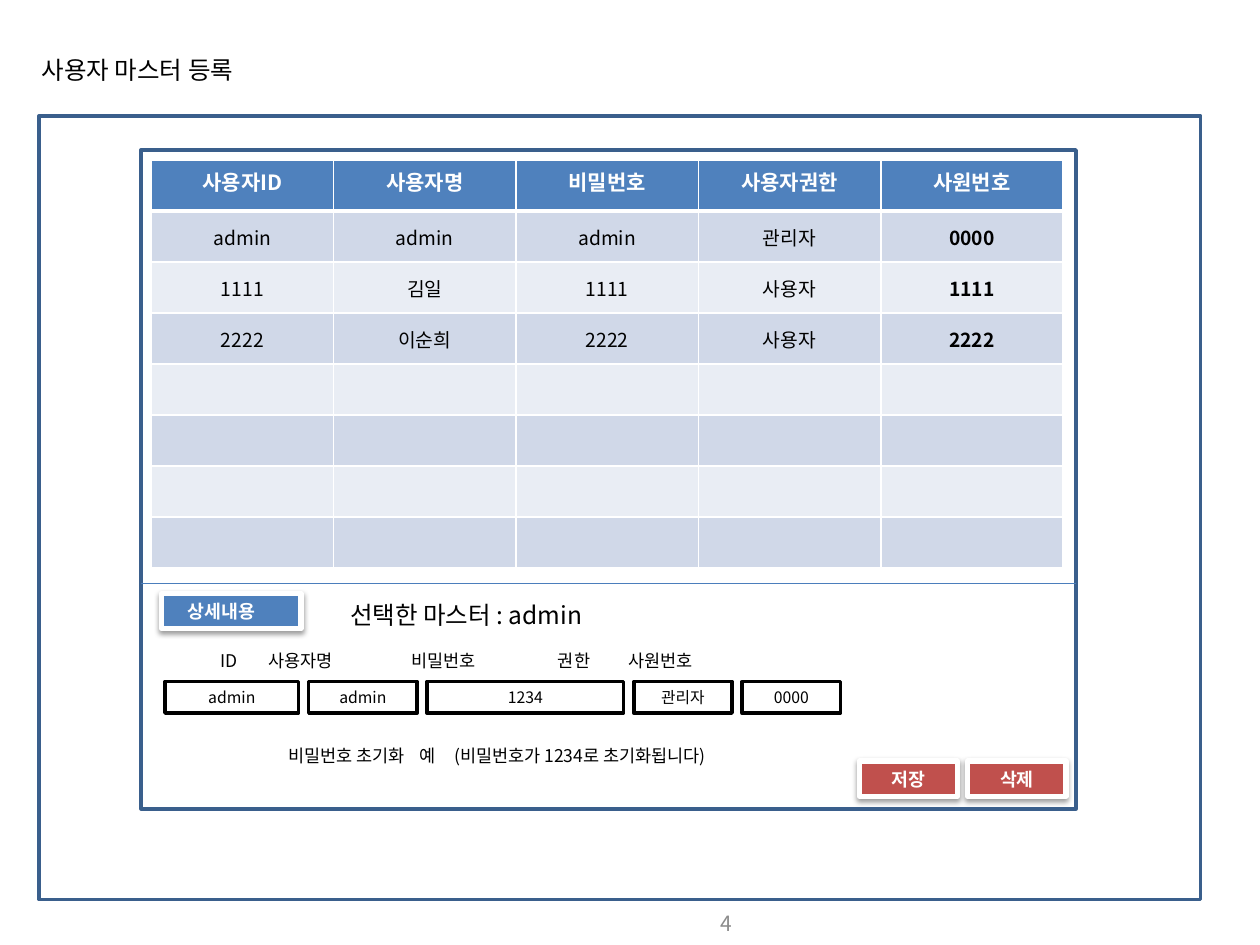
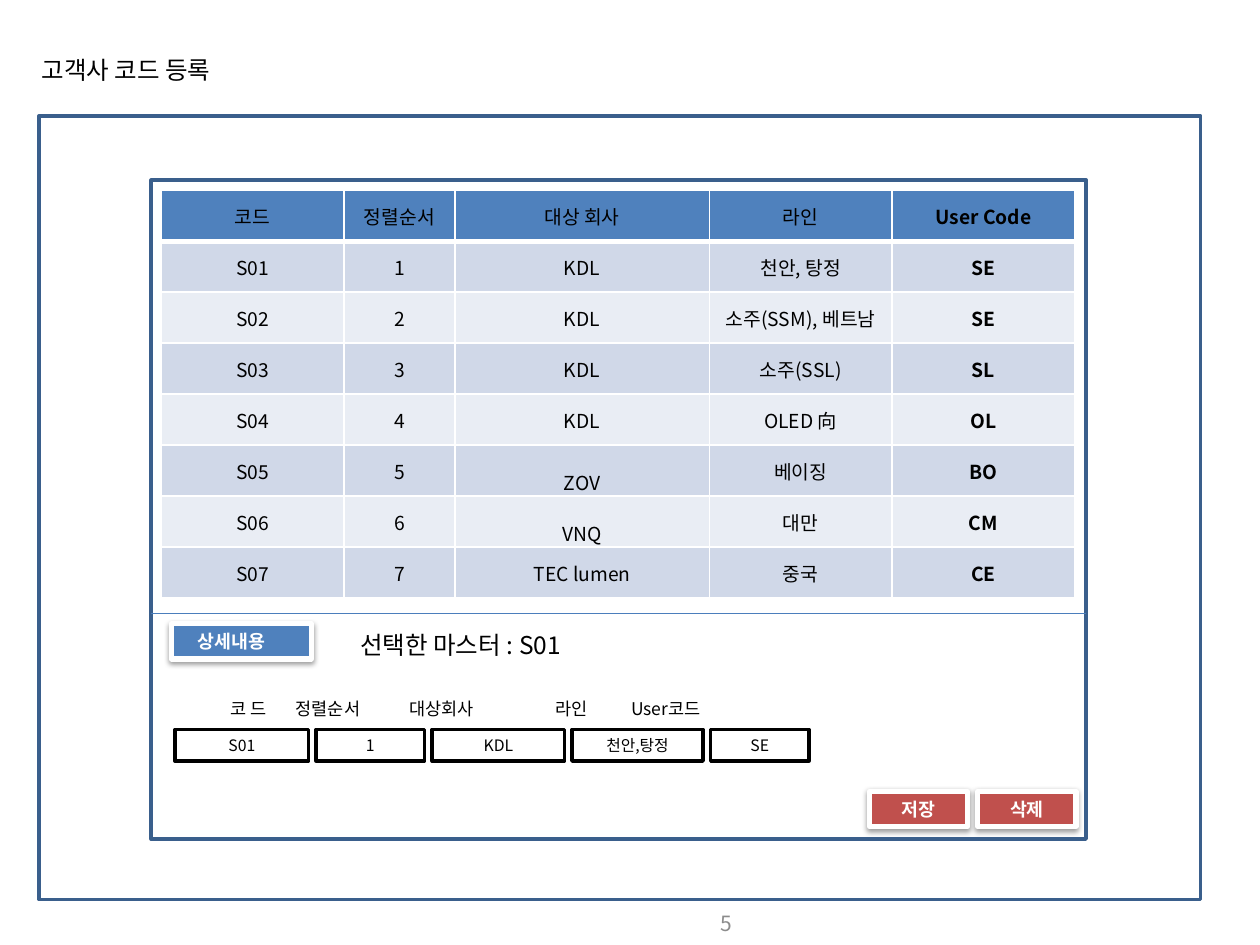
import pptx
import pptx.util
import pptx.dml.color
import pptx.enum.shapes
import pptx.enum.text
import pptx.oxml
import pptx.oxml.ns
from lxml import etree

Inches, Pt = pptx.util.Inches, pptx.util.Pt
RGB = pptx.dml.color.RGBColor
SHAPE = pptx.enum.shapes.MSO_SHAPE
ALIGN = pptx.enum.text.PP_ALIGN
ANCHOR = pptx.enum.text.MSO_ANCHOR
qn = pptx.oxml.ns.qn

FONT = "Noto Sans CJK KR"
COLORS = {
    "white": "FFFFFF", "black": "000000", "frame": "3A5F8C", "rule": "4B7EBC",
    "header": "4F81BD", "action": "C0504D", "page": "8C8C8C",
    "odd_row": "D0D8E8", "even_row": "E9EDF4",
}
TABLE_WIDTH, ROW_COUNT, TABLE_HEIGHT = 7.24, 8, 3.24
PANEL_WIDTH, PANEL_HEIGHT = 7.42, 5.23


def color(name):
    return RGB.from_string(COLORS[name])


class Screen:
    """One mock-up screen: the current slide and the shared style."""

    def __init__(self, deck, title, page):
        self.slide = deck.slides.add_slide(deck.slide_layouts[5])
        heading = self.slide.shapes.title
        self.place(heading, 0.23, 0.39, 4, 0.34)
        heading.text_frame.auto_size = pptx.enum.text.MSO_AUTO_SIZE.NONE
        self.set_words(heading.text_frame, title, 14)
        self.frame(0.31, 0.92, 9.22, 6.22)
        self.text(page, 3.58, 7.13, 2.33, 0.4, 12, "page",
                  align=ALIGN.RIGHT, anchor=ANCHOR.MIDDLE)

    def place(self, shape, left, top, width, height):
        shape.left, shape.top = Inches(left), Inches(top)
        shape.width, shape.height = Inches(width), Inches(height)

    def set_words(self, frame, words, size, ink="black", bold=False,
                  align=ALIGN.LEFT, anchor=ANCHOR.TOP):
        frame.vertical_anchor = anchor
        self.paragraph(frame.paragraphs[0], words, size, ink, bold, align)

    def paragraph(self, paragraph, words, size, ink, bold, align):
        paragraph.text = words
        paragraph.alignment = align
        for run in paragraph.runs:
            run.font.size, run.font.bold, run.font.name = Pt(size), bold, FONT
            run.font.color.rgb = color(ink)
            etree.SubElement(run.font._element, qn("a:ea"), typeface=FONT)
        if not words:
            etree.SubElement(paragraph._p, qn("a:endParaRPr"), sz=str(size * 100))

    def text(self, words, left, top, width, height, size, ink="black",
             align=ALIGN.LEFT, anchor=ANCHOR.TOP, tabs=()):
        box = self.slide.shapes.add_textbox(
            Inches(left), Inches(top), Inches(width), Inches(height))
        box.text_frame.word_wrap = True
        self.set_words(box.text_frame, words, size, ink, False, align, anchor)
        if tabs:
            properties = box.text_frame.paragraphs[0]._p.get_or_add_pPr()
            stops = etree.SubElement(properties, qn("a:tabLst"))
            for stop in tabs:
                etree.SubElement(stops, qn("a:tab"), pos=str(Inches(stop)), algn="l")

    def rectangle(self, left, top, width, height, line, line_width, fill=None):
        box = self.slide.shapes.add_shape(
            SHAPE.RECTANGLE, Inches(left), Inches(top), Inches(width), Inches(height))
        box.shadow.inherit = False
        box.line.color.rgb, box.line.width = color(line), Pt(line_width)
        if fill:
            box.fill.solid()
            box.fill.fore_color.rgb = color(fill)
        else:
            box.fill.background()
        return box

    def frame(self, left, top, width, height):
        self.rectangle(left, top, width, height, "frame", 2)

    def field(self, value, left, top, width):
        box = self.rectangle(left, top, width, 0.25, "black", 2, "white")
        self.set_words(box.text_frame, value, 9, align=ALIGN.CENTER,
                       anchor=ANCHOR.MIDDLE)

    def button(self, caption, left, top, width, fill, indent=None):
        """Draw a raised button; an indent makes its caption left-aligned."""
        box = self.rectangle(left, top, width, 0.28, "white", 3, fill)
        effects = box._element.spPr.find(qn("a:effectLst"))
        shadow = etree.SubElement(effects, qn("a:outerShdw"), blurRad=str(Pt(3.1)),
                                  dist=str(Pt(1.6)), dir="5400000", rotWithShape="0")
        tint = etree.SubElement(shadow, qn("a:srgbClr"), val=COLORS["black"])
        etree.SubElement(tint, qn("a:alpha"), val="38000")
        if indent:
            box.text_frame.margin_left = Inches(indent)
        self.set_words(box.text_frame, caption, 10.5, "white", True,
                       ALIGN.LEFT if indent else ALIGN.CENTER, ANCHOR.MIDDLE)

    def rule(self, left, top, width):
        line = self.slide.shapes.add_connector(
            pptx.enum.shapes.MSO_CONNECTOR.STRAIGHT,
            Inches(left), Inches(top), Inches(left + width), Inches(top))
        line.line.color.rgb, line.line.width = color("rule"), Pt(0.75)
        etree.SubElement(line._element.spPr, qn("a:effectLst"))

    def cell(self, cell, words, fill, bottom=1, size=11, ink="black",
             bold=False, tight=True, anchor=ANCHOR.MIDDLE):
        if tight:
            cell.margin_left = cell.margin_top = cell.margin_right = Inches(0.01)
            cell.margin_bottom = 0
        cell.vertical_anchor = anchor
        properties = cell._tc.get_or_add_tcPr()
        for side, width in (("L", 1), ("R", 1), ("T", 1), ("B", bottom)):
            edge = etree.SubElement(properties, qn("a:ln" + side), w=str(Pt(width)))
            paint = etree.SubElement(edge, qn("a:solidFill"))
            etree.SubElement(paint, qn("a:srgbClr"), val=COLORS["white"])
        cell.fill.solid()
        cell.fill.fore_color.rgb = color(fill)
        self.paragraph(cell.text_frame.paragraphs[0], words, size, ink, bold,
                       ALIGN.CENTER)

    def table(self, rows, left, top, widths, header_style, low_cells=()):
        table = self.slide.shapes.add_table(
            ROW_COUNT, len(widths), Inches(left), Inches(top),
            Inches(TABLE_WIDTH), Inches(TABLE_HEIGHT)).table
        for column, width in zip(table.columns, widths):
            column.width = Inches(width)
        last = len(widths) - 1
        for r, row in enumerate(table.rows):
            row.height = Inches(TABLE_HEIGHT / ROW_COUNT)
            values = rows[r] if r < len(rows) else [""] * len(widths)
            for c, value in enumerate(values):
                style = {"bold": c == last}
                if r == 0:
                    style.update(header_style, fill="header", bottom=3)
                else:
                    style["fill"] = "odd_row" if r % 2 else "even_row"
                if (r, c) in low_cells:
                    style["anchor"] = ANCHOR.BOTTOM
                self.cell(table.cell(r, c), value, **style)

    def panel(self, left, top, rows, widths, selected, fields, field_top, gap,
              header_style, low_cells=()):
        """Draw list and detail form; fields holds (label, tab, value, width)."""
        self.table(rows, left + 0.08, top + 0.08, widths, header_style, low_cells)
        self.button("상세내용", left + 0.16, top + 3.52, 1.11, "header", indent=0.21)
        self.text(f"선택한 마스터 : {selected}", left + 1.56, top + 3.52, 3, 0.34, 14)
        labels, tabs, values, field_widths = zip(*fields)
        self.text("".join("\t" + label for label in labels), left + 0.16,
                  top + field_top - 0.3, 6.09, 0.27, 10, tabs=tabs)
        field_left = left + 0.19
        for value, width in zip(values, field_widths):
            self.field(value, field_left, top + field_top, width)
            field_left += width + gap
        for caption, offset in (("저장", 5.7), ("삭제", 6.56)):
            self.button(caption, left + offset, top + 4.85, 0.78, "action")
        self.frame(left, top, PANEL_WIDTH, PANEL_HEIGHT)
        self.rule(left, top + 3.44, PANEL_WIDTH)


def user_master(deck):
    screen = Screen(deck, "사용자 마스터 등록", "4")
    users = [
        ("사용자ID", "사용자명", "비밀번호", "사용자권한", "사원번호"),
        ("admin", "admin", "admin", "관리자", "0000"),
        ("1111", "김일", "1111", "사용자", "1111"),
        ("2222", "이순희", "2222", "사용자", "2222"),
    ]
    fields = [
        ("ID", 0.37, "admin", 1.06), ("사용자명", 0.75, "admin", 0.86),
        ("비밀번호", 1.89, "1234", 1.56), ("권한", 3.05, "관리자", 0.78),
        ("사원번호", 3.61, "0000", 0.78),
    ]
    screen.panel(1.12, 1.19, users, [TABLE_WIDTH / 5] * 5, "admin", fields, 4.22, 0.08,
                 {"size": 12, "ink": "white", "bold": True, "tight": False,
                  "anchor": ANCHOR.TOP})
    screen.text("비밀번호 초기화\t예\t(비밀번호가 1234로 초기화됩니다)",
                2.19, 5.86, 4.2, 0.27, 10, tabs=(1.04, 1.32))


def customer_codes(deck):
    screen = Screen(deck, "고객사 코드 등록", "5")
    customers = [
        ("코드", "정렬순서", "대상 회사", "라인", "User Code"),
        ("S01", "1", "KDL", "천안, 탕정", "SE"),
        ("S02", "2", "KDL", "소주(SSM), 베트남", "SE"),
        ("S03", "3", "KDL", "소주(SSL)", "SL"),
        ("S04", "4", "KDL", "OLED 向", "OL"),
        ("S05", "5", "ZOV", "베이징", "BO"),
        ("S06", "6", "VNQ", "대만", "CM"),
        ("S07", "7", "TEC lumen", "중국", "CE"),
    ]
    fields = [
        ("코 드", 0.37, "S01", 1.06), ("정렬순서", 0.89, "1", 0.86),
        ("대상회사", 1.79, "KDL", 1.05), ("라인", 2.95, "천안,탕정", 1.04),
        ("User코드", 3.55, "SE", 0.78),
    ]
    screen.panel(1.2, 1.43, customers, [1.45, 0.88, 2.02, 1.45, 1.45], "S01", fields,
                 4.36, 0.06, {}, low_cells={(5, 2), (6, 2)})


def main():
    deck = pptx.Presentation()
    deck.slide_width, deck.slide_height = Inches(10), Inches(7.5)
    user_master(deck)
    customer_codes(deck)
    deck.save("out.pptx")


if __name__ == "__main__":
    main()
